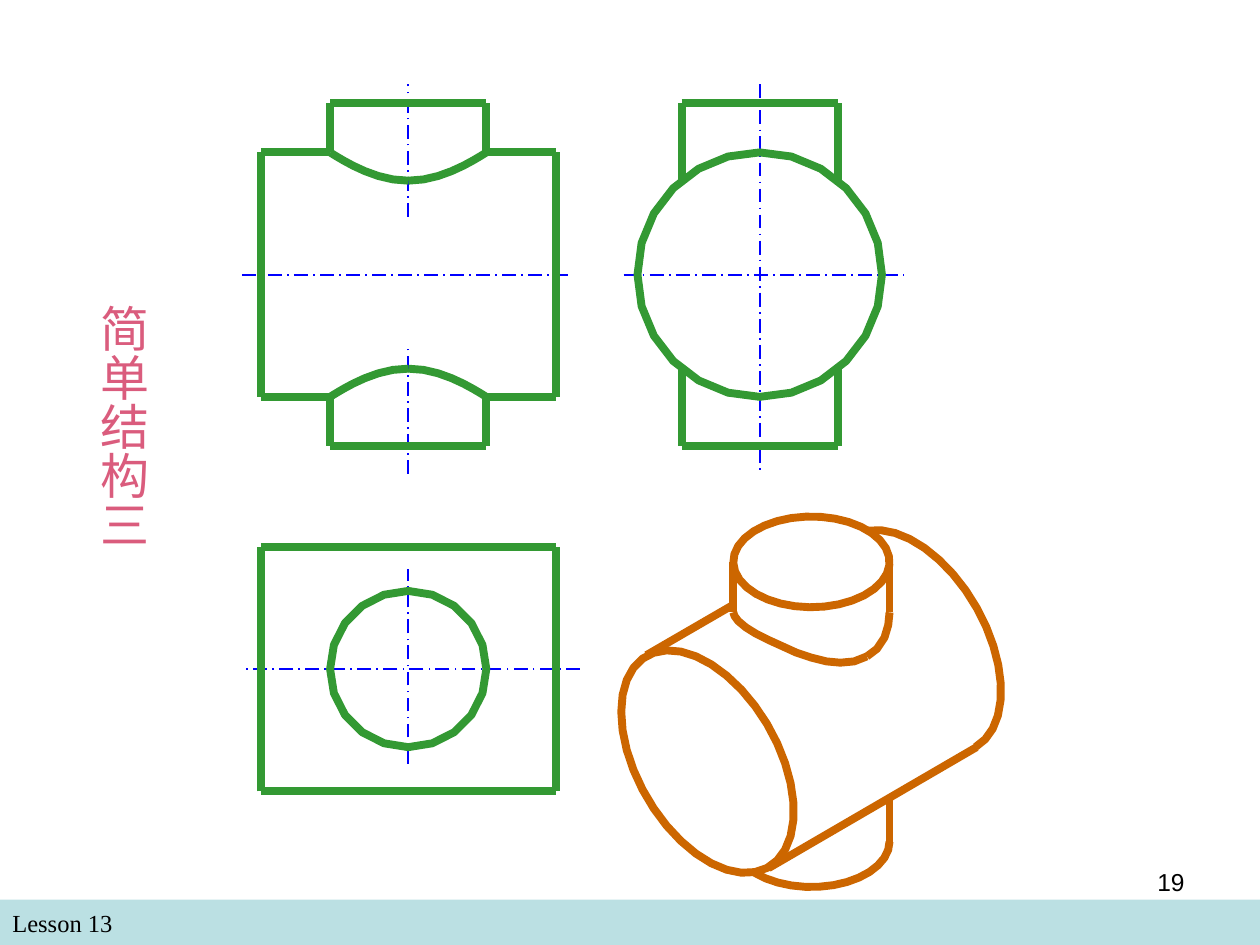
import math
import pptx
import pptx.util
import pptx.dml.color
import pptx.enum.dml
import pptx.enum.shapes
import pptx.enum.text
import pptx.oxml.ns
from pptx.util import Inches

HUES = {"axis": "0000FF", "edge": "339933", "solid": "CC6600",
        "band": "BBE0E3", "title": "DA5C7D", "ink": "000000"}
BIG = 0.97
SMALL = 0.62
WALL = 0.39
ISO = 0.79


def tint(name):
    return pptx.dml.color.RGBColor.from_string(HUES[name])


def ink(line, hue):
    line.color.rgb = tint(hue)
    line.width = pptx.util.Pt(1 if hue == "axis" else 4.5)
    if hue == "axis":
        line.dash_style = pptx.enum.dml.MSO_LINE.LONG_DASH_DOT


def rule(slide, box, hue, x1, y1, x2, y2):
    left, top = box
    part = slide.shapes.add_connector(
        pptx.enum.shapes.MSO_CONNECTOR.STRAIGHT,
        Inches(left + x1), Inches(top + y1),
        Inches(left + x2), Inches(top + y2))
    ink(part.line, hue)
    props = part._element.spPr
    props.append(props.makeelement(pptx.oxml.ns.qn("a:effectLst"), {}))


def chain(slide, box, hue, points):
    for start, end in zip(points, points[1:]):
        rule(slide, box, hue, *start, *end)


def trace(slide, box, hue, points, close=False):
    left, top = box
    spots = [(Inches(left + x), Inches(top + y)) for x, y in points]
    pen = slide.shapes.build_freeform(*spots[0])
    pen.add_line_segments(spots[1:], close=close)
    part = pen.convert_to_shape()
    part.shadow.inherit = False
    part.fill.background()
    ink(part.line, hue)


def arc(cx, cy, wide, high, count, start=0, end=360, skew=0):
    turns = [math.radians(start + (end - start) * i / count)
             for i in range(count + 1)]
    return [(cx + wide * math.cos(t),
             cy + skew * math.cos(t) + high * math.sin(t)) for t in turns]


def ring(slide, box, hue, *args, **keys):
    trace(slide, box, hue, arc(*args, **keys)[:-1], True)


def saddle(cx, cy, sign):
    points = []
    for i in range(17):
        x = -SMALL * math.cos(math.pi * i / 16)
        y = math.sqrt(BIG ** 2 - SMALL ** 2 + x ** 2)
        points.append((cx + x, cy + sign * y))
    return points


def front(slide, box):
    wide, mid, axis = 2.34, 1.17, 1.36
    rule(slide, box, "axis", -0.15, axis, 2.48, axis)
    rule(slide, box, "axis", mid, 0.9, mid, -0.15)
    rule(slide, box, "axis", mid, 2.94, mid, 1.92)
    for x in (0, wide):
        rule(slide, box, "edge", x, axis - BIG, x, axis + BIG)
    near, far = mid - SMALL, mid + SMALL
    for sign in (-1, 1):
        base = axis + sign * BIG
        tip = base + sign * WALL
        rule(slide, box, "edge", 0, base, near, base)
        rule(slide, box, "edge", far, base, wide, base)
        chain(slide, box, "edge",
              [(near, base), (near, tip), (far, tip), (far, base)])
        curve = saddle(mid, axis, sign)
        trace(slide, box, "edge", curve[:9])
        trace(slide, box, "edge", curve[8:])


def side(slide, box):
    mid, axis = 0.97, 1.36
    rule(slide, box, "axis", mid, -0.15, mid, 2.94)
    rule(slide, box, "axis", -0.11, axis, 2.11, axis)
    ring(slide, box, "edge", mid, axis, BIG, BIG, 24)
    near, far = mid - SMALL, mid + SMALL
    for sign in (-1, 1):
        root = axis + sign * math.sqrt(BIG ** 2 - SMALL ** 2)
        tip = axis + sign * (BIG + WALL)
        chain(slide, box, "edge",
              [(near, root), (near, tip), (far, tip), (far, root)])


def plan(slide, box):
    wide, high = 2.34, 1.94
    mid, axis = wide / 2, high / 2
    rule(slide, box, "axis", 2.53, axis, -0.15, axis)
    rule(slide, box, "axis", mid, 1.72, mid, 0.18)
    chain(slide, box, "edge",
          [(0, 0), (wide, 0), (wide, high), (0, high), (0, 0)])
    ring(slide, box, "edge", mid, axis, SMALL, SMALL, 20)


def solid(slide, box):
    hue = "solid"
    wide, skew = ISO * math.cos(math.pi / 6), ISO / 2
    mid, lid = 1.51, 0.36
    near, far = mid - SMALL, mid + SMALL
    trace(slide, box, hue,
          arc(2.33, 0.99, wide, ISO, 17, 45, -123, skew))
    ring(slide, box, hue, 0.685, 1.945, wide, ISO, 35, 180, 540, skew)
    seam = [
        (near, 0.76), (0.9, 0.79), (0.93, 0.83), (0.99, 0.88),
        (1.07, 0.93), (1.17, 0.98), (1.28, 1.03), (1.39, 1.08),
        (1.51, 1.12), (1.63, 1.15), (1.74, 1.16), (1.85, 1.15),
        (1.95, 1.11), (2.03, 1.05), (2.09, 0.96), (2.12, 0.86),
        (far, 0.76)]
    trace(slide, box, hue, seam[:13])
    trace(slide, box, hue, seam[12:])
    ring(slide, box, hue, mid, lid, SMALL, lid, 33, 135, 495)
    trace(slide, box, hue, arc(mid, 2.58, SMALL, lid, 13, 0, 136.5))
    rule(slide, box, hue, far, 2.58, far, 2.23)
    for x in (near, far):
        rule(slide, box, hue, x, lid, x, 0.76)
    rule(slide, box, hue, 1.17, 2.79, 2.82, 1.83)
    rule(slide, box, hue, 0.89, 0.7, 0.2, 1.1)


def label(slide, box, text, size, face, hue, align):
    frame = slide.shapes.add_textbox(*map(Inches, box)).text_frame
    frame.word_wrap = True
    para = frame.paragraphs[0]
    para.alignment = align
    run = para.add_run()
    run.text = text
    run.font.size = pptx.util.Pt(size)
    run.font.name = face
    run.font.color.rgb = tint(hue)
    return frame


def title(slide, box):
    frame = label(slide, box, "简单结构三", 28, "Arial", "title",
                  pptx.enum.text.PP_ALIGN.LEFT)
    frame.margin_left = frame.margin_right = Inches(0.05)
    frame.margin_top, frame.margin_bottom = Inches(1.66), Inches(0.1)
    frame._txBody.bodyPr.set("vert", "eaVert")


def foot(slide, box):
    left, top, wide, high = box
    band = slide.shapes.add_shape(
        pptx.enum.shapes.MSO_SHAPE.RECTANGLE, *map(Inches, box))
    band.shadow.inherit = False
    band.fill.solid()
    band.fill.fore_color.rgb = tint("band")
    band.line.fill.background()
    align = pptx.enum.text.PP_ALIGN
    label(slide, (left, top + 0.02, 4.83, 0.34), "Lesson 13", 14,
          "Times New Roman", "ink", align.LEFT)
    label(slide, (left + 7.17, top - 0.31, 2.33, 0.52), "19", 14,
          "Arial", "ink", align.RIGHT)


def main():
    deck = pptx.Presentation()
    deck.slide_width, deck.slide_height = Inches(10), Inches(7.5)
    slide = deck.slides.add_slide(deck.slide_layouts[6])
    foot(slide, (0, 7.14, 10, 0.36))
    front(slide, (2.07, 0.82))
    side(slide, (5.06, 0.82))
    plan(slide, (2.07, 4.34))
    solid(slide, (4.93, 4.1))
    title(slide, (0.6, 0.76, 0.66, 5.28))
    deck.save("out.pptx")


if __name__ == "__main__":
    main()
